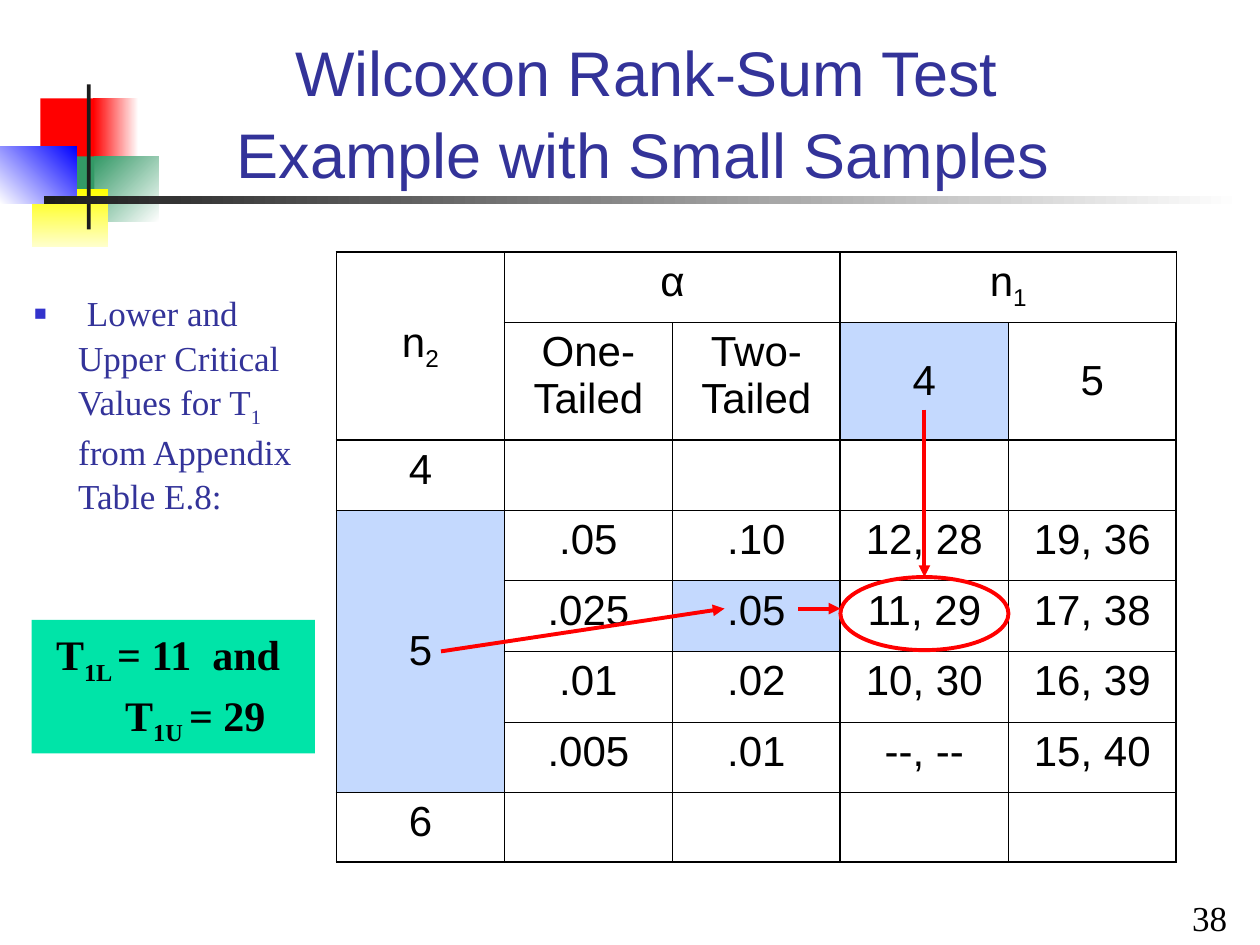
from lxml.etree import SubElement
from pptx import Presentation
from pptx.dml.color import RGBColor
from pptx.enum.shapes import MSO_CONNECTOR as Connector, MSO_SHAPE as Shape
from pptx.enum.text import MSO_ANCHOR as Anchor, MSO_AUTO_SIZE as AutoSize, PP_ALIGN as Align
from pptx.oxml.ns import qn
from pptx.util import Inches, Pt

RED, BLACK, NAVY, HIGHLIGHT = "FF0000", "000000", "333399", "C4D9FE"
SERIF, SANS = "Times New Roman", "Arial"
COLUMN = 4 / 3
ROWS = [0.56, 0.93, 0.56, 0.56, 0.56, 0.56, 0.56, 0.55]
THICK_COLUMNS, THICK_ROWS = {0, 1, 3, 5}, {0, 2, 8}
CELLS = [
    ["n|2", "α", "", "n|1", ""],
    ["", "One-Tailed", "Two-Tailed", "4", "5"],
    ["4", "", "", "", ""],
    ["5", ".05", ".10", "12, 28", "19, 36"],
    ["", ".025", ".05", "11, 29", "17, 38"],
    ["", ".01", ".02", "10, 30", "16, 39"],
    ["", ".005", ".01", "--, --", "15, 40"],
    ["6", "", "", "", ""],
]
MERGES = [((0, 0), (1, 0)), ((0, 1), (0, 2)), ((0, 3), (0, 4)), ((3, 0), (6, 0))]
HIGHLIGHTED = {(1, 3), (3, 0), (4, 2)}
MIDDLE = {(0, 0), (1, 3), (1, 4), (3, 0)}


def color(hex_text):
    """Turn a hex string into a colour."""
    return RGBColor.from_string(hex_text)


def place(item, left, top, width, height):
    """Move and size an item in inches."""
    item.left, item.top, item.width, item.height = map(Inches, (left, top, width, height))
    return item


def write(para, text, size, font, hex_text, bold=False):
    """Write runs split at bars, every second one as a subscript."""
    for index, part in enumerate(text.split("|")):
        span = para.add_run()
        span.text = part
        span.font.size, span.font.name, span.font.bold = Pt(size), font, bold
        span.font.color.rgb = color(hex_text)
        if index % 2:
            span.font._element.set("baseline", "-25000")


def set_frame(frame, anchor=Anchor.TOP, side=0.1):
    """Set wrapping, anchor and margins of a text frame."""
    frame.word_wrap, frame.auto_size, frame.vertical_anchor = True, AutoSize.NONE, anchor
    frame.margin_left = frame.margin_right = Inches(side)
    frame.margin_top = frame.margin_bottom = Inches(0.05)
    return frame.paragraphs[0]


def space(para, line, before):
    """Set the line spacing, space before and hanging indent."""
    para.line_spacing, para.space_before = line, Pt(before)
    properties = para._p.get_or_add_pPr()
    properties.set("marL", str(Inches(0.35)))
    properties.set("indent", str(Inches(-0.35)))
    return properties


def add_block(page, box, start, end=None, angle=0):
    """Add a rectangle with a plain or gradient fill."""
    block = page.shapes.add_shape(Shape.RECTANGLE, *map(Inches, box))
    block.shadow.inherit = False
    block.line.fill.background()
    if end is None:
        block.fill.solid()
        block.fill.fore_color.rgb = color(start)
    else:
        block.fill.gradient()
        block.fill.gradient_angle = 360 - angle
        for stop, shade in zip(block.fill.gradient_stops, (start, end)):
            stop.color.rgb = color(shade)
    return block


def add_emblem(page, left, top):
    """Add the coloured squares, the upright and the rule under the title."""
    for (x, y, width, height), *fill in [
        ((0.32, 0.11, 0.48, 0.52), RED),
        ((0.74, 0.11, 0.36, 0.52), "FFFFFF", RED, 180),
        ((0.75, 0.57, 0.51, 0.52), "FFFFFF", "339966", 225),
        ((0.43, 0.57, 0.32, 0.52), "339966"),
        ((0.25, 0.83, 0.61, 0.46), "FFFF00", "FFFFCC", 90),
        ((0, 0.49, 0.61, 0.46), "0000FF", "FFFFFF", 135),
        ((0.69, 0, 0.03, 1.15), "1C1C1C"),
        ((0.35, 0.89, 9.51, 0.06), "FFFFFF", "1C1C1C", 180),
    ]:
        add_block(page, (left + x, top + y, width, height), *fill)


def fill_title(page, box):
    """Fill the two-line title placeholder."""
    para = set_frame(place(page.shapes.title, *box).text_frame, Anchor.BOTTOM, 0.09)
    para.alignment = Align.CENTER
    write(para, "Wilcoxon Rank-Sum Test", 36, SANS, NAVY)
    para.add_line_break()
    SubElement(para._p.find(qn("a:br")), qn("a:rPr")).set("sz", "3600")
    write(para, "Example with Small Samples", 36, SANS, NAVY)
    write(para, "\t", 40, SANS, NAVY)


def fill_list(page, box):
    """Fill the body placeholder with its bulleted sentence."""
    para = set_frame(place(page.placeholders[1], *box).text_frame)
    properties = space(para, 1.05, 12.5)
    bullet_color = SubElement(properties, qn("a:buClr"))
    SubElement(bullet_color, qn("a:srgbClr")).set("val", "3333CC")
    SubElement(properties, qn("a:buSzPct")).set("val", "60000")
    SubElement(properties, qn("a:buFont")).set("typeface", SANS)
    SubElement(properties, qn("a:buChar")).set("char", "■")
    write(para, " Lower and   Upper Critical Values for T|1| from Appendix Table E.8:", 20, SERIF, NAVY)


def add_borders(cell, row, column):
    """Draw thick borders between groups and thin ones inside them."""
    properties = cell._tc.get_or_add_tcPr()
    sides = [
        ("a:lnL", column in THICK_COLUMNS), ("a:lnR", column + 1 in THICK_COLUMNS),
        ("a:lnT", row in THICK_ROWS), ("a:lnB", row + 1 in THICK_ROWS),
    ]
    for index, (tag, thick) in enumerate(sides):
        line = SubElement(properties, qn(tag))
        line.set("w", str(Pt(1.08 if thick else 0.45)))
        fill = SubElement(line, qn("a:solidFill"))
        SubElement(fill, qn("a:srgbClr")).set("val", BLACK)
        properties.insert(index, line)


def add_critical_values(page, left, top):
    """Add the table of critical values."""
    box = map(Inches, (left, top, 5 * COLUMN, sum(ROWS)))
    table = page.shapes.add_table(len(ROWS), 5, *box).table
    table.first_row = table.horz_banding = False
    for column in table.columns:
        column.width = Inches(COLUMN)
    for row, height in enumerate(ROWS):
        table.rows[row].height = Inches(height)
        for column, text in enumerate(CELLS[row]):
            cell = table.cell(row, column)
            cell.fill.background()
            if (row, column) in HIGHLIGHTED:
                cell.fill.solid()
                cell.fill.fore_color.rgb = color(HIGHLIGHT)
            cell.vertical_anchor = Anchor.MIDDLE if (row, column) in MIDDLE else Anchor.TOP
            add_borders(cell, row, column)
            if text:
                para = cell.text_frame.paragraphs[0]
                para.alignment, para.space_before = Align.CENTER, Pt(6)
                write(para, text, 24, SANS, BLACK)
    for first, last in MERGES:
        table.cell(*first).merge(table.cell(*last))


def add_arrow(page, *ends):
    """Add a red arrow between two points."""
    arrow = page.shapes.add_connector(Connector.STRAIGHT, *map(Inches, ends))
    arrow.line.color.rgb, arrow.line.width = color(RED), Pt(2.24)
    SubElement(arrow.line._get_or_add_ln(), qn("a:tailEnd")).set("type", "triangle")
    SubElement(arrow._element.spPr, qn("a:effectLst"))


def add_lookup(page, left, top):
    """Add the arrows and the ring that lead to the chosen cell."""
    center = left + 3.5 * COLUMN
    add_arrow(page, center, top + 1.25, center, top + 2.58)
    add_arrow(page, left + 2.75 * COLUMN, top + 2.83, left + 3 * COLUMN, top + 2.83)
    add_arrow(page, left + 0.83, top + 3.17, left + 3.08, top + 2.83)
    box = map(Inches, (left + 3 * COLUMN, top + 2.58, COLUMN, 0.58))
    ring = page.shapes.add_shape(Shape.OVAL, *box)
    ring.shadow.inherit = False
    ring.fill.background()
    ring.line.color.rgb, ring.line.width = color(RED), Pt(2.24)


def add_result(page, box):
    """Add the green box with both critical values."""
    para = set_frame(add_block(page, box, "00E4A8").text_frame)
    para.alignment = Align.CENTER
    space(para, 1.05, 15)
    write(para, "T|1L |= 11  and  T|1U |= 29", 24, SERIF, BLACK, True)


def add_page_number(page, box):
    """Add the page number."""
    frame = page.shapes.add_textbox(*map(Inches, box)).text_frame
    para = set_frame(frame, Anchor.BOTTOM, 0.09)
    para.alignment = Align.RIGHT
    write(para, "38", 20, SERIF, BLACK)


deck = Presentation()
deck.slide_width, deck.slide_height = Inches(10), Inches(7.5)
page = deck.slides.add_slide(deck.slide_layouts[1])
add_emblem(page, 0, 0.67)
fill_title(page, (1.26, 0.25, 7.74, 1.33))
add_critical_values(page, 2.67, 2)
fill_list(page, (0.17, 2.25, 2.33, 1.9))
add_lookup(page, 2.67, 2)
add_result(page, (0.25, 4.92, 2.25, 1.06))
add_page_number(page, (7.5, 7.15, 2.33, 0.35))
deck.save("out.pptx")
